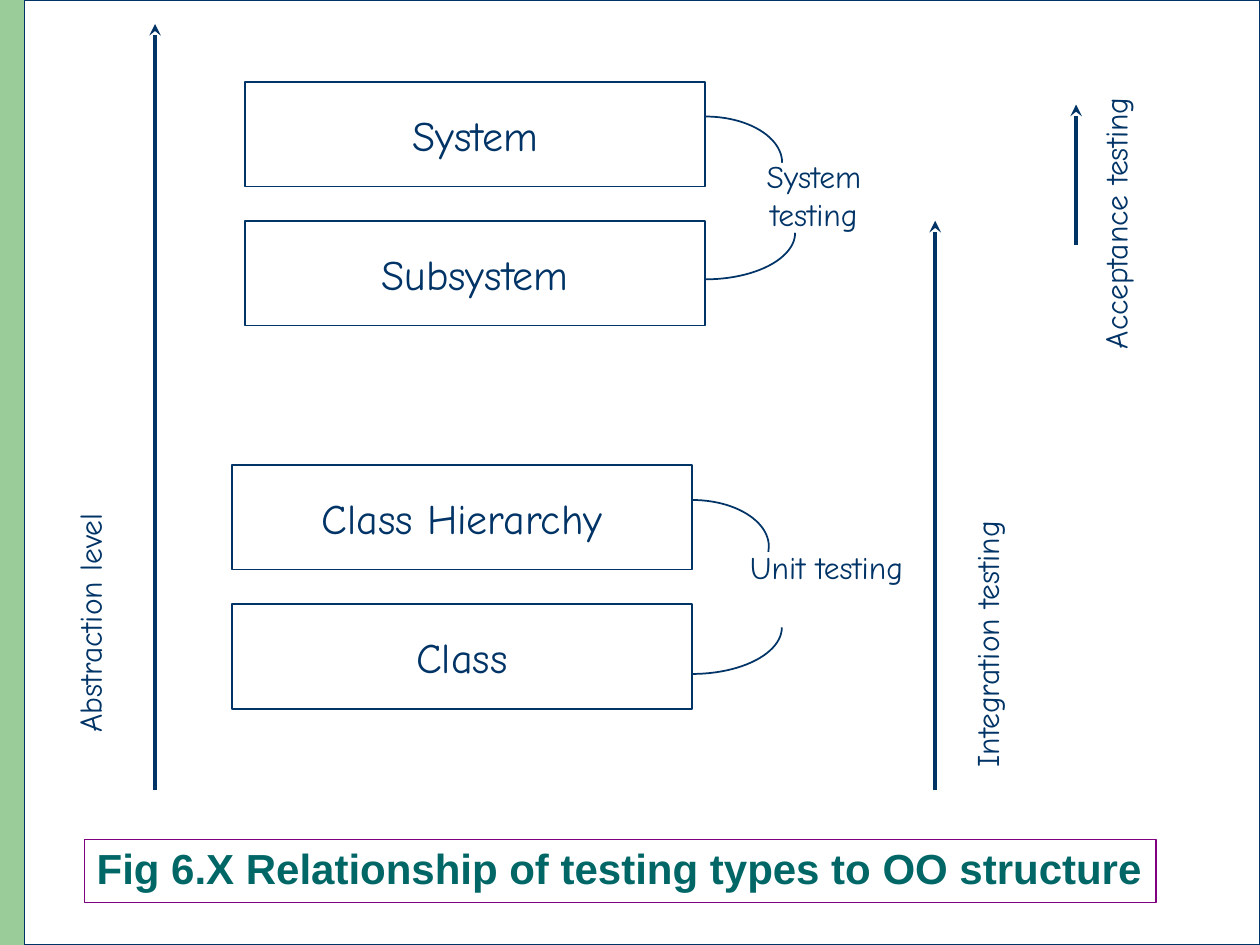
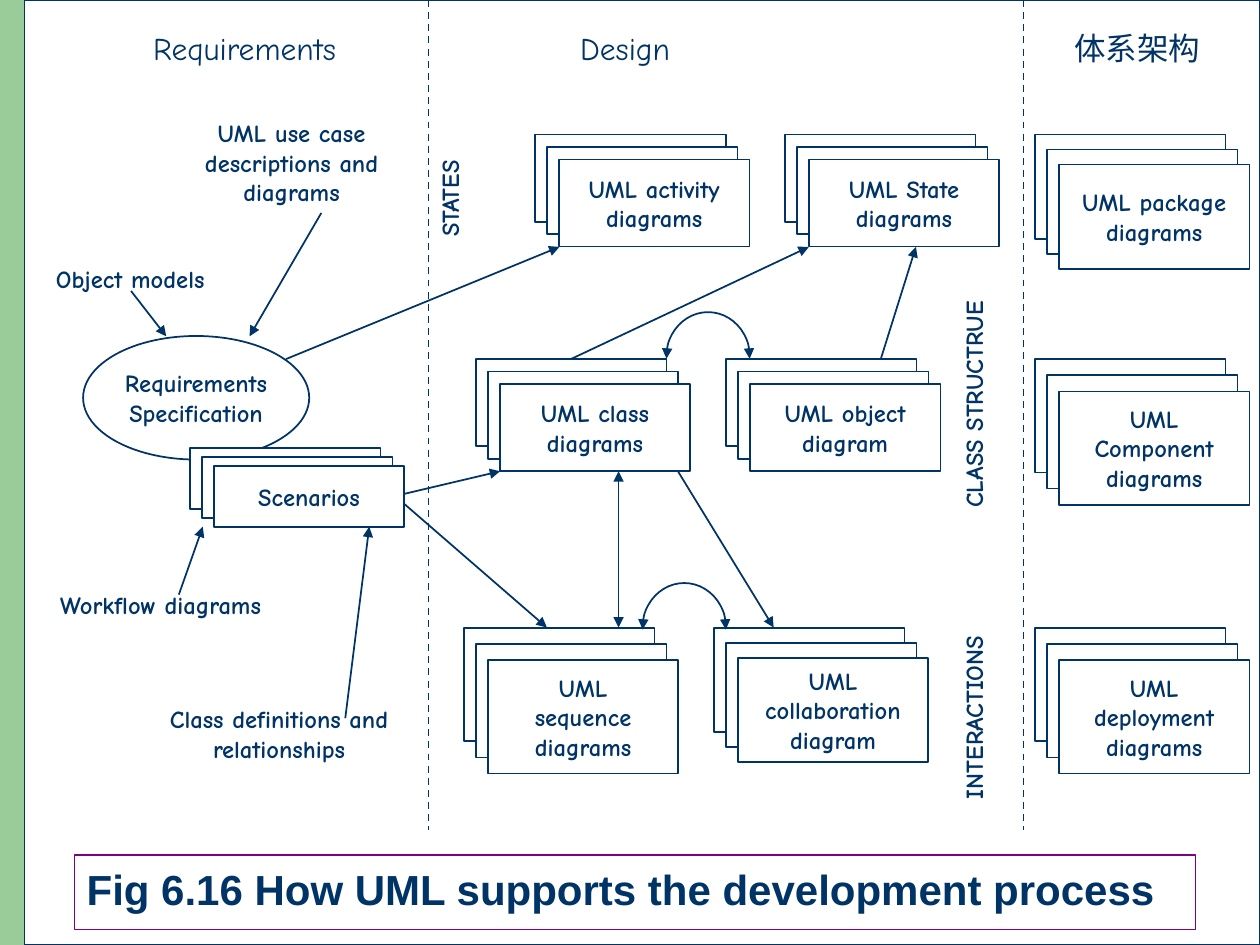
"""Build two slides on testing types and on UML in the development process."""
import lxml.etree
import pptx
import pptx.dml.color
import pptx.enum.dml
import pptx.enum.shapes
import pptx.enum.text
import pptx.oxml.ns
import pptx.util

Pt = pptx.util.Pt
RGBColor = pptx.dml.color.RGBColor
SHAPE = pptx.enum.shapes.MSO_SHAPE
ALIGN = pptx.enum.text.PP_ALIGN
ANCHOR = pptx.enum.text.MSO_ANCHOR
qn = pptx.oxml.ns.qn

NAVY = RGBColor(0x00, 0x33, 0x66)
TEAL = RGBColor(0x00, 0x66, 0x66)
GREEN = RGBColor(0x99, 0xCC, 0x99)
PURPLE = RGBColor(0x80, 0x00, 0x80)
WHITE = RGBColor(0xFF, 0xFF, 0xFF)
HAND_FONT = "Comic Neue"
CAPTION_FONT = "Arial"

LEVEL_SIZE = (263, 59.8)
LEVEL_PITCH = 79.5
CARD_WIDTH = 108.9
CARD_SHIFT = 6.8


def write(frame, text, size, bold=False, color=NAVY, font=HAND_FONT, align=ALIGN.CENTER):
    """Fill a text frame and give all its paragraphs one look."""
    frame.text = text
    for paragraph in frame.paragraphs:
        paragraph.alignment = align
        for run in paragraph.runs:
            run.font.name = font
            run.font.size = Pt(size)
            run.font.bold = bold
            run.font.color.rgb = color


def add_figure(slide, kind, box, fill=WHITE, line=NAVY, weight=1):
    """Add a preset shape with the given fill and outline."""
    figure = slide.shapes.add_shape(kind, *map(Pt, box))
    figure.shadow.inherit = False
    if fill is None:
        figure.fill.background()
    else:
        figure.fill.solid()
        figure.fill.fore_color.rgb = fill
    if line is None:
        figure.line.fill.background()
    else:
        figure.line.color.rgb = line
        figure.line.width = Pt(weight)
    return figure


def add_node(slide, box, text, size, bold=False, kind=SHAPE.RECTANGLE):
    """Add an outlined shape with centred text."""
    node = add_figure(slide, kind, box)
    node.text_frame.word_wrap = False
    node.text_frame.vertical_anchor = ANCHOR.MIDDLE
    write(node.text_frame, text, size, bold)


def add_stack(slide, left, top, height, text):
    """Add three overlapping cards, the front one with text."""
    for step in range(2):
        back = (left + step * CARD_SHIFT, top + step * height / 7, CARD_WIDTH, height)
        add_figure(slide, SHAPE.RECTANGLE, back)
    front = (left + 2 * CARD_SHIFT, top + 2 * height / 7, CARD_WIDTH, height)
    add_node(slide, front, text, 14, bold=True)


def add_label(slide, box, text, size, bold=False, upward=False):
    """Add a free label, centred or running upward from its lower end."""
    label = slide.shapes.add_textbox(*map(Pt, box))
    label.text_frame.word_wrap = True
    write(label.text_frame, text, size, bold, align=ALIGN.LEFT if upward else ALIGN.CENTER)
    if upward:
        label.text_frame.word_wrap = False
        label.element.txBody.find(qn("a:bodyPr")).set("vert", "vert270")


def add_heads(figure, **heads):
    """Put arrowheads on the ends of an outline."""
    outline = figure.element.spPr.find(qn("a:ln"))
    for end, kind in heads.items():
        lxml.etree.SubElement(outline, qn(f"a:{end}"), type=kind)


def add_line(slide, start, finish, weight=1, dashed=False, **heads):
    """Add a straight line, with arrowheads where asked."""
    line = slide.shapes.add_connector(
        pptx.enum.shapes.MSO_CONNECTOR.STRAIGHT, *map(Pt, start + finish))
    line.line.color.rgb = NAVY
    line.line.width = Pt(weight)
    if dashed:
        line.line.dash_style = pptx.enum.dml.MSO_LINE.DASH
    add_heads(line, **heads)
    lxml.etree.SubElement(line.element.spPr, qn("a:effectLst"))


def add_arc(slide, center, radii, start, finish, **heads):
    """Add part of an ellipse, clockwise between two angles in degrees."""
    (x, y), (rx, ry) = center, radii
    arc = add_figure(slide, SHAPE.ARC, (x - rx, y - ry, 2 * rx, 2 * ry), fill=None)
    arc.adjustments[0] = start * 0.6
    arc.adjustments[1] = finish * 0.6
    add_heads(arc, **heads)


def add_page(deck):
    """Add a blank slide with the green band and the framed sheet."""
    slide = deck.slides.add_slide(deck.slide_layouts[6])
    add_figure(slide, SHAPE.RECTANGLE, (0, 0, 58.3, 540), GREEN, None)
    add_figure(slide, SHAPE.RECTANGLE, (14, 0, 706, 540), weight=0.75)
    return slide


def add_caption(slide, box, text, color):
    """Add the framed figure caption."""
    caption = add_figure(slide, SHAPE.RECTANGLE, box, None, PURPLE, 0.75)
    caption.text_frame.word_wrap = True
    caption.text_frame.vertical_anchor = ANCHOR.MIDDLE
    write(caption.text_frame, text, 24, True, color, CAPTION_FONT, ALIGN.LEFT)
    caption.text_frame.paragraphs[0].line_spacing = 0.9


def build_testing_types(deck):
    """Build the slide that relates testing types to structure levels."""
    slide = add_page(deck)
    groups = [(140, 46.8, ("System", "Subsystem")),
              (132.5, 265.7, ("Class Hierarchy", "Class"))]
    for left, top, levels in groups:
        for row, level in enumerate(levels):
            add_node(slide, (left, top + row * LEVEL_PITCH, *LEVEL_SIZE), level, 24)

    add_label(slide, (410.4, 86.4, 109.4, 50.4), "System testing", 18)
    add_label(slide, (417.6, 309.6, 109.4, 50.4), "Unit testing", 18)
    add_arc(slide, (403.2, 93), (43.8, 26.4), 270, 0)
    add_arc(slide, (403.2, 133), (51.2, 26.6), 0, 90)
    add_arc(slide, (395.6, 312.3), (43.8, 26.6), 270, 4)
    add_arc(slide, (395.6, 358.5), (51.2, 26.6), 0, 90)

    scopes = [("Abstraction level", 88.6, 451.6, 13.7, (36.7, 67, 36, 358.6)),
              ("Integration testing", 534.4, 451.6, 126.2, (549.4, 173.5, 36, 272.2)),
              ("Acceptance testing", 614.9, 140, 59.8, (622.8, 0, 36, 206.6))]
    for scope, x, bottom, top, box in scopes:
        add_line(slide, (x, bottom), (x, top), 2.25, tailEnd="stealth")
        add_label(slide, box, scope, 18, upward=True)

    add_caption(slide, (48.2, 479.6, 612.4, 36.2),
                "Fig 6.X Relationship of testing types to OO structure", TEAL)


def build_uml_support(deck):
    """Build the slide that places UML diagrams in the development process."""
    slide = add_page(deck)
    add_node(slide, (47.5, 192, 129.2, 70.6), "Requirements\nSpecification", 14, True, SHAPE.OVAL)

    stacks = [
        (108.6, 256.2, 34.9, "Scenarios"),
        (305.8, 76.9, 49.8, "UML activity\ndiagrams"),
        (448.6, 76.9, 49.8, "UML State\ndiagrams"),
        (272, 205.2, 49.8, "UML class\ndiagrams"),
        (414.9, 205.2, 49.8, "UML object\ndiagram"),
        (265.2, 358.8, 64.8, "UML\nsequence\ndiagrams"),
        (408, 358.8, 59.6, "UML\ncollaboration\ndiagram"),
        (591.5, 76.9, 59.6, "UML package\ndiagrams"),
        (591.5, 205.2, 64.8, "UML\nComponent\ndiagrams"),
        (591.5, 358.8, 64.8, "UML\ndeployment\ndiagrams"),
    ]
    for stack in stacks:
        add_stack(slide, *stack)

    inputs = [
        ("Object models", (6.5, 147.6, 136, 23.8)),
        ("UML use case descriptions and diagrams", (102.2, 64.1, 128.9, 57.6)),
        ("Workflow diagrams", (0, 333.4, 183.6, 23.8)),
        ("Class definitions and relationships", (67.7, 398.9, 183.6, 41)),
    ]
    for text, box in inputs:
        add_label(slide, box, text, 14, bold=True)

    views = [("STATES", (244.8, 77, 31, 65.5)),
             ("CLASS STRUCTRUE", (544.3, 152.6, 31, 144.7)),
             ("INTERACTIONS", (544.3, 341.3, 31, 122.4))]
    for text, box in views:
        add_label(slide, box, text, 14, bold=True, upward=True)

    phases = [("Requirements", 54.7, 170), ("Design", 272.2, 170), ("体系架构", 605.5, 88.6)]
    for text, left, width in phases:
        add_label(slide, (left, 13, width, 28.8), text, 18)
    for x in (244.8, 584.8):
        add_line(slide, (x, 0), (x, 474.5), dashed=True)

    flows = [
        ((183.6, 121.7), (142.6, 192.2)),
        ((74.9, 166.3), (95, 192.2)),
        ((102.2, 339.8), (115.9, 301)),
        ((197.3, 410.4), (211, 301)),
        ((163.4, 205.2), (319.7, 141.1)),
        ((326.2, 205.2), (462.2, 141.1)),
        ((503.3, 205.2), (523.4, 141.1)),
        ((231.1, 282.2), (285.8, 269.3)),
        ((231.1, 288), (312.5, 358.6)),
        ((387.4, 269.3), (442.1, 358.6)),
    ]
    for start, finish in flows:
        add_line(slide, start, finish, tailEnd="triangle")
    both_ends = {"headEnd": "triangle", "tailEnd": "triangle"}
    add_line(slide, (353.5, 269.3), (353.5, 358.6), **both_ends)
    for center in ((391, 358.6), (404.6, 203.8)):
        add_arc(slide, center, (23.8, 25.4), 177, 3, **both_ends)

    add_caption(slide, (42.5, 488.6, 640.8, 42.4),
                "Fig 6.16 How UML supports the development process", NAVY)


def main():
    """Build and save the presentation."""
    deck = pptx.Presentation()
    deck.slide_width = Pt(720)
    deck.slide_height = Pt(540)
    build_testing_types(deck)
    build_uml_support(deck)
    deck.save("out.pptx")


if __name__ == "__main__":
    main()
